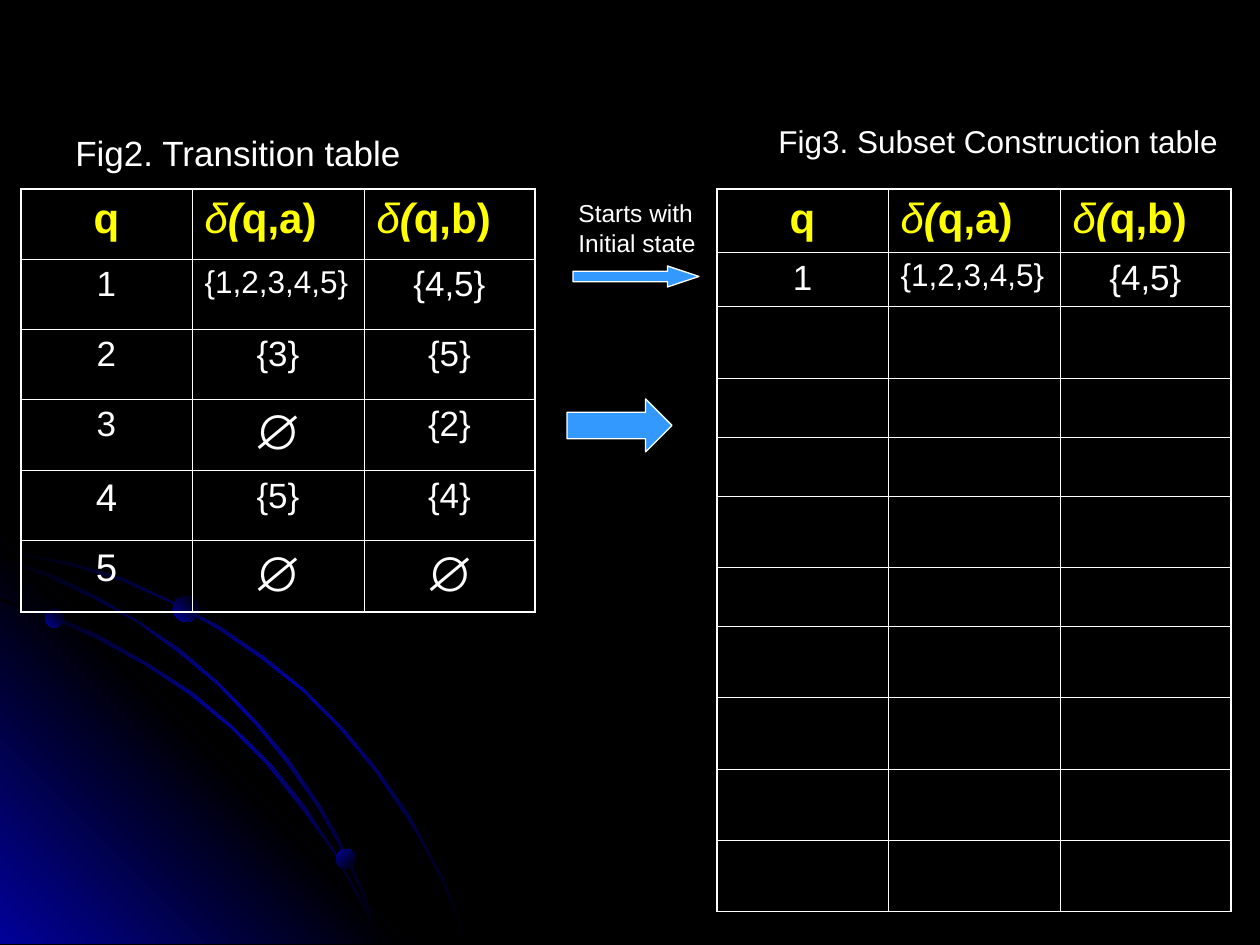
"""Builds a slide with a transition table and the first step of its subset construction."""
from lxml import etree
from pptx import Presentation
from pptx.dml.color import RGBColor
from pptx.enum.shapes import MSO_SHAPE
from pptx.enum.text import PP_ALIGN
from pptx.oxml.ns import qn
from pptx.util import Pt

SCALE = 914400 / 126
FONT = "Arial"
OVAL = MSO_SHAPE.OVAL
ARROW = MSO_SHAPE.RIGHT_ARROW
LEFT, CENTER = PP_ALIGN.LEFT, PP_ALIGN.CENTER
COLORS = {"black": "000000", "white": "FFFFFF", "yellow": "FFFF00",
          "navy": "010199", "arrow": "3399FF"}
FADE_IN_OUT = ("black", "navy", "black")
OUTER, INNER = 1.08, 0.45
COLUMNS = (171, 172, 171)
ROWS_TRANSITION = (70, 70, 70, 71, 70, 71)
ROWS_SUBSET = (63, 54, 72, 59, 59, 71, 59, 71, 72, 71, 71)
START_ROW = ("1", "{1,2,3,4,5}", "{4,5}")
TRANSITIONS = (START_ROW, ("2", "{3}", "{5}"), ("3", "∅", "{2}"),
               ("4", "{5}", "{4}"), ("5", "∅", "∅"))
SIZES = {"{1,2,3,4,5}": 18, "∅": 28, "4": 22, "5": 22}

ARCS = (
    ((72, 563), (35, 556), (0, 548), (0, 552), (35, 558), (71, 566), (122, 581),
     (170, 602), (218, 629), (262, 659), (304, 692), (341, 730), (375, 771),
     (407, 818), (425, 848), (441, 879), (454, 911), (466, 944), (469, 944),
     (456, 911), (444, 879), (427, 848), (410, 816), (378, 770), (343, 728),
     (305, 690), (263, 656), (219, 626), (171, 601), (123, 578)),
    ((359, 900), (370, 922), (379, 944), (382, 944), (373, 920), (360, 897),
     (335, 852), (305, 806), (271, 764), (232, 726), (192, 692), (147, 663),
     (100, 636), (52, 615), (0, 598), (0, 601), (49, 617), (97, 639), (145, 665),
     (189, 694), (231, 728), (268, 766), (302, 809), (334, 853)),
    ((0, 557), (0, 559), (45, 576), (93, 598), (137, 622), (179, 653), (218, 685),
     (255, 724), (286, 762), (318, 808), (336, 840), (353, 874), (368, 910),
     (379, 944), (382, 944), (370, 907), (355, 873), (339, 838), (320, 805),
     (289, 760), (257, 722), (220, 684), (181, 650), (138, 621), (96, 596),
     (49, 573)),
)
WEDGE = ((406, 944), (0, 944), (0, 538))
DOTS = ((45, 609, 19, 315), (336, 849, 20, 45), (173, 596, 26, 315))


def px(value):
    return round(value * SCALE)


def rgb(name):
    return RGBColor.from_string(COLORS[name])


def style_font(font, size, color="white", bold=False, italic=False):
    font.name, font.size = FONT, Pt(size)
    font.bold, font.italic = bold, italic
    font.color.rgb = rgb(color)


def add_solid(parent, color):
    fill = etree.SubElement(parent, qn("a:solidFill"))
    etree.SubElement(fill, qn("a:srgbClr"), val=COLORS[color])


def set_gradient(shape, colors, angle):
    shape.shadow.inherit = False
    shape.line.fill.background()
    shape.fill.background()
    sp_pr = shape.fill._xPr
    grad = etree.Element(qn("a:gradFill"), rotWithShape="1")
    stops = etree.SubElement(grad, qn("a:gsLst"))
    for i, color in enumerate(colors):
        stop = etree.SubElement(stops, qn("a:gs"), pos=str(100000 * i // (len(colors) - 1)))
        etree.SubElement(stop, qn("a:srgbClr"), val=COLORS[color])
    etree.SubElement(grad, qn("a:lin"), ang=str(angle * 60000), scaled="1")
    sp_pr.replace(sp_pr.find(qn("a:noFill")), grad)


def add_outline(s, points, colors, angle):
    builder = s.shapes.build_freeform(*points[0], scale=SCALE)
    builder.add_line_segments(points[1:], close=True)
    set_gradient(builder.convert_to_shape(), colors, angle)


def add_dot(s, x, y, size, angle):
    dot = s.shapes.add_shape(OVAL, px(x), px(y), px(size), px(size))
    set_gradient(dot, ("navy", "black"), angle)


def add_arrow(s, x, y, w, h, head):
    arrow = s.shapes.add_shape(ARROW, px(x), px(y), px(w), px(h))
    arrow.shadow.inherit = False
    arrow.adjustments[1] = head
    arrow.fill.solid()
    arrow.fill.fore_color.rgb = rgb("arrow")
    arrow.line.color.rgb = rgb("white")
    arrow.line.width = Pt(0.75)


def add_label(s, x, y, w, h, text, size, wrap=True):
    tf = s.shapes.add_textbox(px(x), px(y), px(w), px(h)).text_frame
    tf.word_wrap = wrap
    tf.text = text
    for p in tf.paragraphs:
        style_font(p.runs[0].font, size)


def set_borders(cell, widths):
    tc_pr = cell._tc.get_or_add_tcPr()
    for i, (side, width) in enumerate(zip("LRTB", widths)):
        line = etree.Element(qn(f"a:ln{side}"), w=str(Pt(width)))
        add_solid(line, "white")
        tc_pr.insert(i, line)


def fill_header(cell, symbol):
    p = cell.text_frame.paragraphs[0]
    if symbol == "q":
        p.alignment = CENTER
        parts = (("q", True, False),)
    else:
        p.alignment = LEFT
        parts = (("δ", False, True), ("(", True, True), (f"q,{symbol})", True, False))
    for text, bold, italic in parts:
        r = p.add_run()
        r.text = text
        style_font(r.font, 24, "yellow", bold, italic)


def fill_value(cell, text):
    p = cell.text_frame.paragraphs[0]
    p.text = text
    p.alignment = LEFT if text == START_ROW[1] else CENTER
    style_font(p.runs[0].font, SIZES.get(text, 20))


def add_state_table(s, x, y, heights, values):
    frame = s.shapes.add_table(len(heights), len(COLUMNS), px(x), px(y),
                               px(sum(COLUMNS)), px(sum(heights)))
    table = frame.table
    table.first_row = table.horz_banding = False
    for column, width in zip(table.columns, COLUMNS):
        column.width = px(width)
    last_row, last_col = len(heights) - 1, len(COLUMNS) - 1
    for i, height in enumerate(heights):
        table.rows[i].height = px(height)
        for j in range(len(COLUMNS)):
            cell = table.cell(i, j)
            cell.fill.background()
            edges = (j == 0, j == last_col, i == 0, i == last_row)
            set_borders(cell, [OUTER if edge else INNER for edge in edges])
            if i == 0:
                fill_header(cell, "qab"[j])
            elif i <= len(values):
                fill_value(cell, values[i - 1][j])


def main():
    prs = Presentation()
    prs.slide_width, prs.slide_height = px(1260), px(945)
    s = prs.slides.add_slide(prs.slide_layouts[6])
    s.background.fill.solid()
    s.background.fill.fore_color.rgb = rgb("black")
    add_outline(s, ARCS[0], FADE_IN_OUT, 45)
    add_outline(s, WEDGE, ("navy", "black", "navy"), 315)
    for arc in ARCS[1:]:
        add_outline(s, arc, FADE_IN_OUT, 45)
    for dot in DOTS:
        add_dot(s, *dot)
    add_label(s, 63, 125, 1134, 620, "Fig2. Transition table", 20)
    add_state_table(s, 21, 189, ROWS_TRANSITION, TRANSITIONS)
    add_state_table(s, 717, 189, ROWS_SUBSET, (START_ROW,))
    add_arrow(s, 573, 266, 126, 21, 1.5)
    add_arrow(s, 567, 399, 105, 53, 0.5)
    add_label(s, 566, 192, 158, 72, "Starts with\nInitial state", 14)
    add_label(s, 766, 116, 465, 50, "Fig3. Subset Construction table", 18, wrap=False)
    prs.save("out.pptx")


if __name__ == "__main__":
    main()
